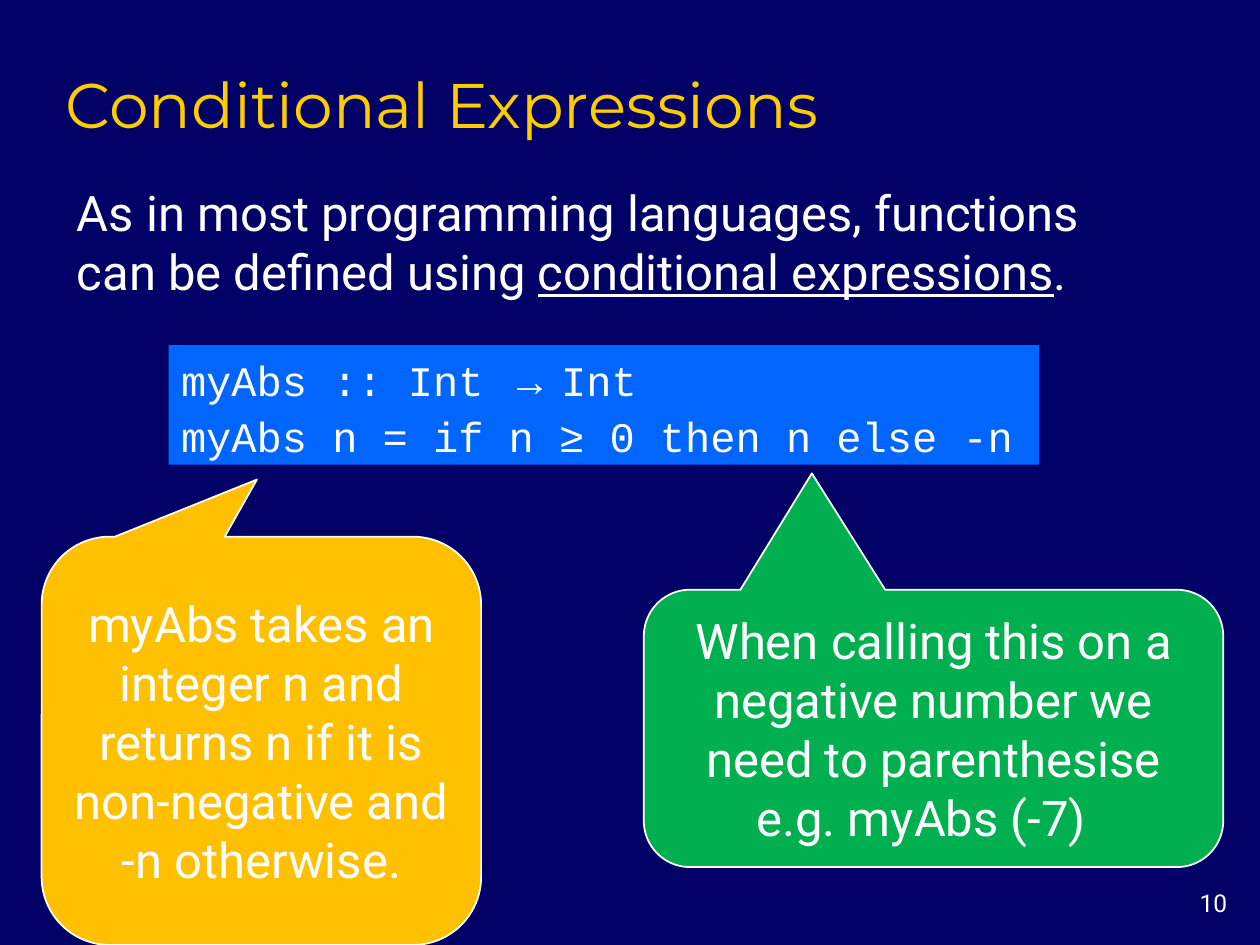
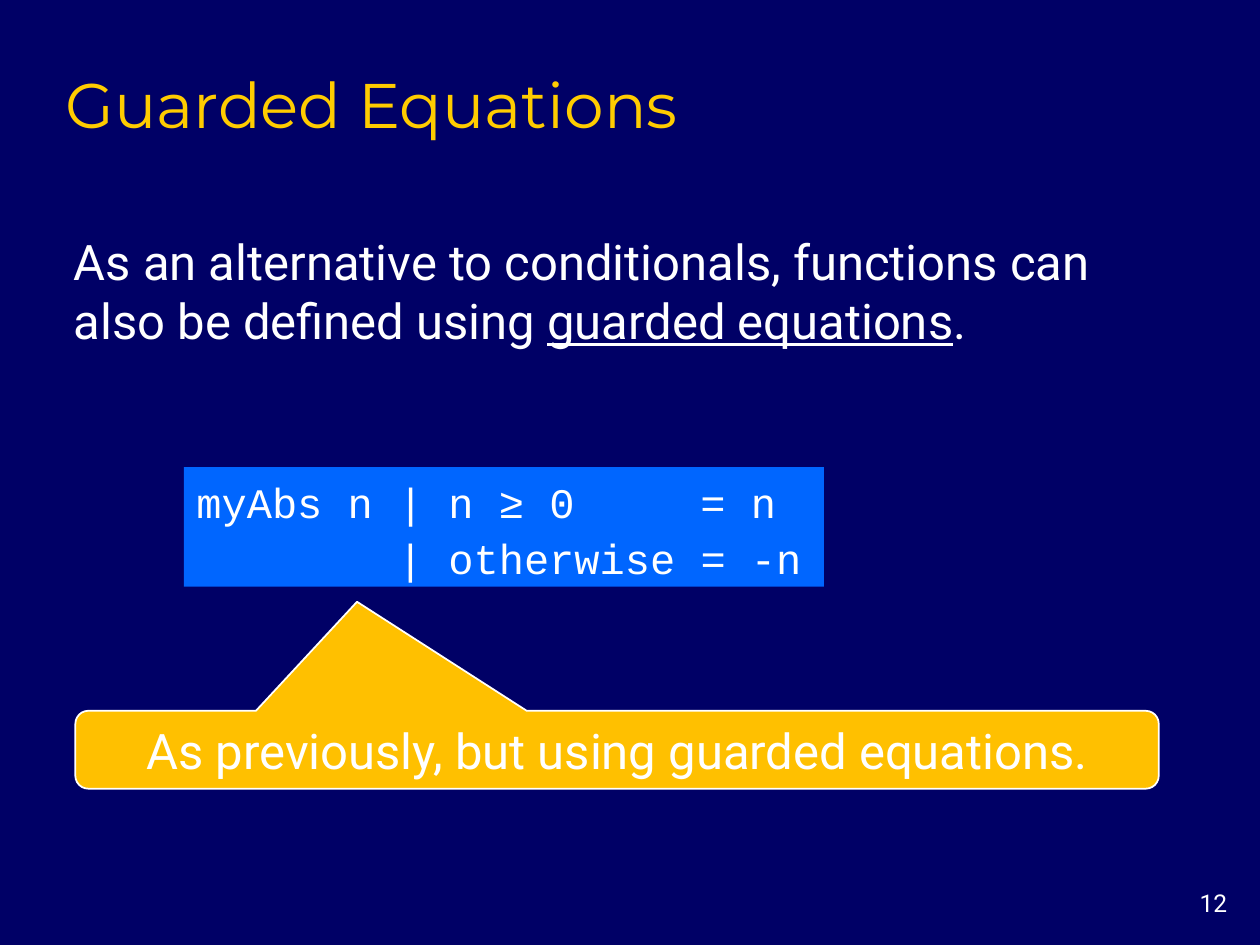
from pptx import Presentation
from pptx.dml.color import RGBColor
from pptx.enum import shapes, text
from pptx.util import Cm, Pt

NAVY, BLUE, GOLD = "000066", "0066FF", "FFCC00"
AMBER, GREEN, WHITE = "FFC000", "00B050", "FFFFFF"
BODY, HEAD, CODE, SYMBOL = "Roboto", "Montserrat", "Courier New", "Times New Roman"
COLUMN = 0.508  # width of one 24 pt code character, in cm

TITLE_BOX = (1.07, 1.07, 21.59, 1.9)
PAGE_BOX = (23.29, 17.78, 1.7, 0.84)

# Boxes are left, top, width, height in cm.
# A paragraph is a list of (words, format) runs, then optional layout settings.
SLIDES = [
    dict(
        title="Conditional Expressions", page="10",
        intro=("As in most programming languages, functions can be defined using ",
               "conditional expressions", (1.3, 3.56, 22.48, 2.62)),
        code=([([("myAbs :: Int ", {}), ("→ ", {"font": SYMBOL}), ("Int", {})], {}),
               ([("myAbs n = if n ≥ 0 then n else -n", {})], {})],
              (3.4, 6.96, 17.55, 2.41)),
        notes=[
            ([([("myAbs takes an integer n and returns n if it is "
                 "non-negative and -n otherwise.", {})], {})],
             AMBER, (0.84, 10.82, 8.86, 8.23), (-0.01, -0.64)),
            ([([("When calling this on a negative number we need to parenthesise", {})], {}),
              ([("e.g. myAbs (-7)", {})], {"right": 0.5})],
             GREEN, (12.98, 11.89, 11.68, 5.59), (-0.21, -0.92)),
        ],
    ),
    dict(
        title="Guarded Equations", page="12",
        intro=("As an alternative to conditionals, functions can also be defined using ",
               "guarded equations", (1.24, 4.55, 22.94, 2.62)),
        code=([([("myAbs n | n ≥ 0\t= n", {})], {"tab": 20 * COLUMN}),
               ([("| otherwise = -n", {})], {"left": 8 * COLUMN})],
              (3.71, 9.42, 12.9, 2.41)),
        notes=[
            ([([("As previously, but using guarded equations.", {})], {})],
             AMBER, (1.52, 14.33, 21.84, 1.57), (-0.24, -1.9)),
        ],
    ),
]


def rgb(code):
    return RGBColor.from_string(code)


def indent(para, left=0, right=0, tab=0):
    """Set paragraph margins and one tab stop, in cm."""
    props = para._p.get_or_add_pPr()
    for name, size in (("marL", left), ("marR", right)):
        if size:
            props.set(name, str(Cm(size)))
    if tab:
        stops = props.makeelement(props.tag.replace("pPr", "tabLst"), {})
        stop = props.makeelement(props.tag.replace("pPr", "tab"),
                                 {"pos": str(Cm(tab)), "algn": "l"})
        stops.append(stop)
        props.append(stops)


def write(shape, paras, size=28, font=BODY, color=WHITE, align="LEFT",
          anchor="MIDDLE", spacing=None):
    """Fill a shape with paragraphs, or with one plain string."""
    if isinstance(paras, str):
        paras = [([(paras, {})], {})]
    frame = shape.text_frame
    frame.word_wrap = True
    frame.vertical_anchor = getattr(text.MSO_ANCHOR, anchor)
    for i, (runs, layout) in enumerate(paras):
        para = frame.add_paragraph() if i else frame.paragraphs[0]
        para.alignment = getattr(text.PP_ALIGN, align)
        if spacing:
            para.line_spacing = spacing
        indent(para, **layout)
        for words, style in runs:
            run = para.add_run()
            run.text = words
            run.font.size = Pt(size)
            run.font.name = style.get("font", font)
            run.font.color.rgb = rgb(color)
            run.font.underline = style.get("underline")


def label(slide, box, paras, **style):
    write(slide.shapes.add_textbox(*map(Cm, box)), paras, **style)


def panel(slide, kind, box, fill, line=None):
    shape = slide.shapes.add_shape(kind, *map(Cm, box))
    shape.shadow.inherit = False
    shape.fill.solid()
    shape.fill.fore_color.rgb = rgb(fill)
    if line:
        shape.line.color.rgb = rgb(line)
        shape.line.width = Pt(1)
    else:
        shape.line.fill.background()
    return shape


def build(deck, title, page, intro, code, notes):
    slide = deck.slides.add_slide(deck.slide_layouts[6])
    label(slide, PAGE_BOX, page, size=14, align="RIGHT", anchor="TOP")
    label(slide, TITLE_BOX, title, size=36, font=HEAD, color=GOLD, anchor="BOTTOM")

    lead, term, box = intro
    label(slide, box, [([(lead, {}), (term, {"underline": True}), (".", {})], {})])

    lines, box = code
    block = panel(slide, shapes.MSO_SHAPE.RECTANGLE, box, BLUE)
    write(block, lines, size=24, font=CODE, spacing=1.1)

    for paras, fill, box, tip in notes:
        bubble = panel(slide, shapes.MSO_SHAPE.ROUNDED_RECTANGULAR_CALLOUT,
                       box, fill, WHITE)
        bubble.adjustments[0], bubble.adjustments[1] = tip
        write(bubble, paras, align="CENTER")


def main():
    deck = Presentation()
    deck.slide_width, deck.slide_height = Cm(25.4), Cm(19.05)
    back = deck.slide_master.background.fill
    back.solid()
    back.fore_color.rgb = rgb(NAVY)
    for content in SLIDES:
        build(deck, **content)
    deck.save("out.pptx")


if __name__ == "__main__":
    main()
